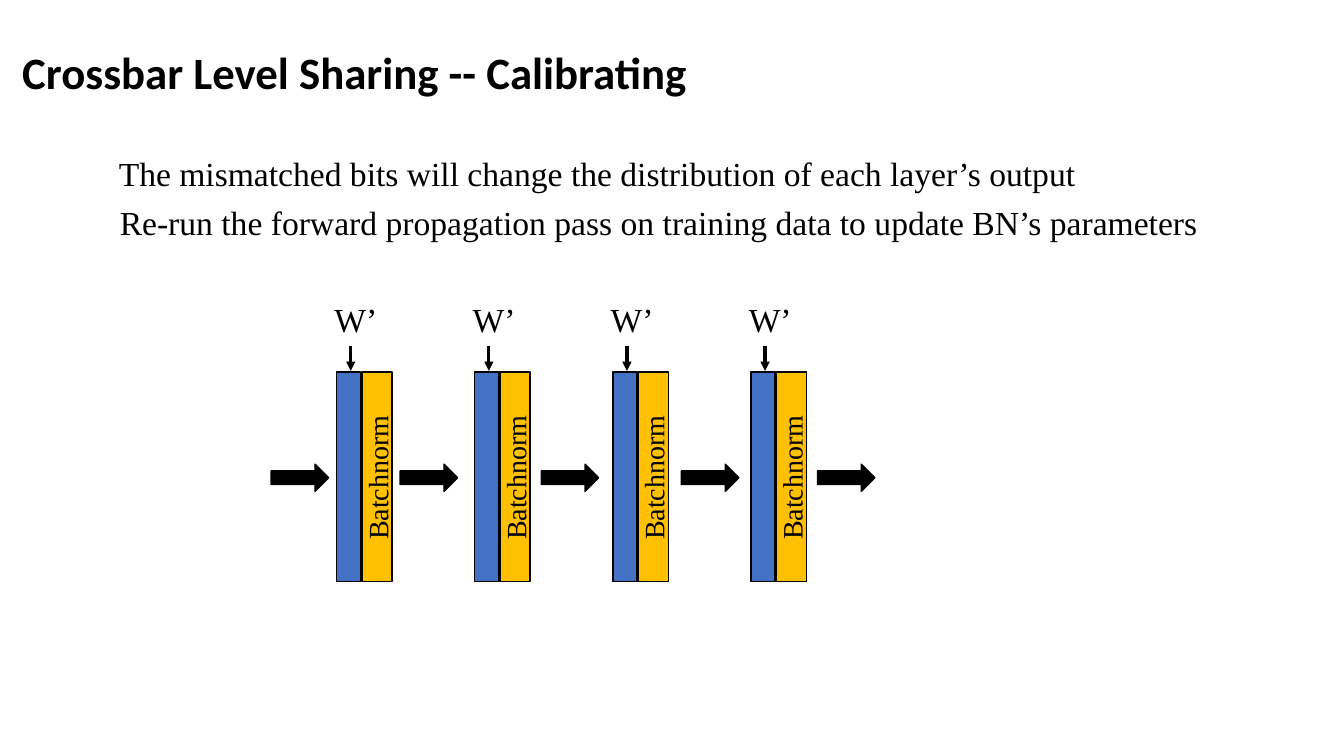
"""Build the crossbar calibration slide."""
from lxml.etree import SubElement
from pptx import Presentation
from pptx.dml.color import RGBColor
from pptx.enum.shapes import MSO_CONNECTOR, MSO_SHAPE
from pptx.enum.text import MSO_ANCHOR, MSO_AUTO_SIZE, PP_ALIGN
from pptx.oxml.ns import qn
from pptx.util import Inches, Pt

COLORS = {"ink": "000000", "weights": "4472C4", "batchnorm": "FFC000", "paper": "FFFFFF"}
COLS, ROWS = 40, 30
LAYERS = 4
LAYER_PITCH = 4.11
FLOW_COLS = [8.07, 11.91, 16.11, 20.28, 24.33]


class SlideBuilder:
    """Hold the style and current slide, placing elements on a grid."""

    def __init__(self, prs):
        self.col = prs.slide_width / COLS
        self.row = prs.slide_height / ROWS
        self.font = "Times New Roman"
        self.s = prs.slides.add_slide(prs.slide_layouts[5])
        fill = self.s.background.fill
        fill.solid()
        fill.fore_color.rgb = self.color("paper")

    def color(self, name):
        return RGBColor.from_string(COLORS[name])

    def box(self, x, y, w, h):
        return (round(x * self.col), round(y * self.row),
                round(w * self.col), round(h * self.row))

    def run(self, p, text, size, font, bold=False):
        r = p.add_run()
        r.text = text
        r.font.name = font
        r.font.size = Pt(size)
        r.font.bold = bold
        r.font.color.rgb = self.color("ink")

    def title(self, text, *area):
        sp = self.s.shapes.title
        sp.left, sp.top, sp.width, sp.height = self.box(*area)
        tf = sp.text_frame
        tf.vertical_anchor = MSO_ANCHOR.MIDDLE
        p = tf.paragraphs[0]
        p.alignment = PP_ALIGN.LEFT
        p.line_spacing = 0.9
        self.run(p, text, 32, "Calibri", bold=True)

    def text(self, text, *area, size=24, rotation=0):
        sp = self.s.shapes.add_textbox(*self.box(*area))
        sp.rotation = rotation
        tf = sp.text_frame
        tf.word_wrap = False
        tf.auto_size = MSO_AUTO_SIZE.SHAPE_TO_FIT_TEXT
        self.run(tf.paragraphs[0], text, size, self.font)

    def shape(self, kind, fill, *area):
        sp = self.s.shapes.add_shape(kind, *self.box(*area))
        sp.shadow.inherit = False
        sp.fill.solid()
        sp.fill.fore_color.rgb = self.color(fill)
        sp.line.color.rgb = self.color("ink")
        sp.line.width = Pt(1)

    def down_arrow(self, x, top, bottom):
        left, start, _, length = self.box(x, top, 0, bottom - top)
        cn = self.s.shapes.add_connector(
            MSO_CONNECTOR.STRAIGHT, left, start, left, start + length)
        cn.line.color.rgb = self.color("ink")
        cn.line.width = Pt(2.25)
        SubElement(cn.line._get_or_add_ln(), qn("a:tailEnd"), type="triangle")
        SubElement(cn._element.spPr, qn("a:effectLst"))

    def layer(self, dx):
        self.shape(MSO_SHAPE.RECTANGLE, "weights", 10.02 + dx, 14.76, 0.72, 8.32)
        self.shape(MSO_SHAPE.RECTANGLE, "batchnorm", 10.77 + dx, 14.76, 0.9, 8.32)
        self.text("Batchnorm", 9.06 + dx, 18.04, 4.35, 1.76, size=20, rotation=270)
        self.text("W’", 9.66 + dx, 11.68, 1.89, 2)
        self.down_arrow(10.44 + dx, 13.72, 14.72)


def main():
    prs = Presentation()
    prs.slide_width, prs.slide_height = Inches(13.33), Inches(7.5)
    slide = SlideBuilder(prs)
    slide.title("Crossbar Level Sharing -- Calibrating", 0.36, 1.52, 38.97, 2.88)
    slide.text("The mismatched bits will change the distribution of each layer’s output",
               3.24, 5.88, 29.31, 2)
    slide.text("Re-run the forward propagation pass on training data to update BN’s parameters",
               3.27, 7.8, 32.97, 2)
    for i in range(LAYERS):
        slide.layer(i * LAYER_PITCH)
    for x in FLOW_COLS:
        slide.shape(MSO_SHAPE.RIGHT_ARROW, "ink", x, 18.42, 1.71, 1.08)
    prs.save("out.pptx")


if __name__ == "__main__":
    main()
